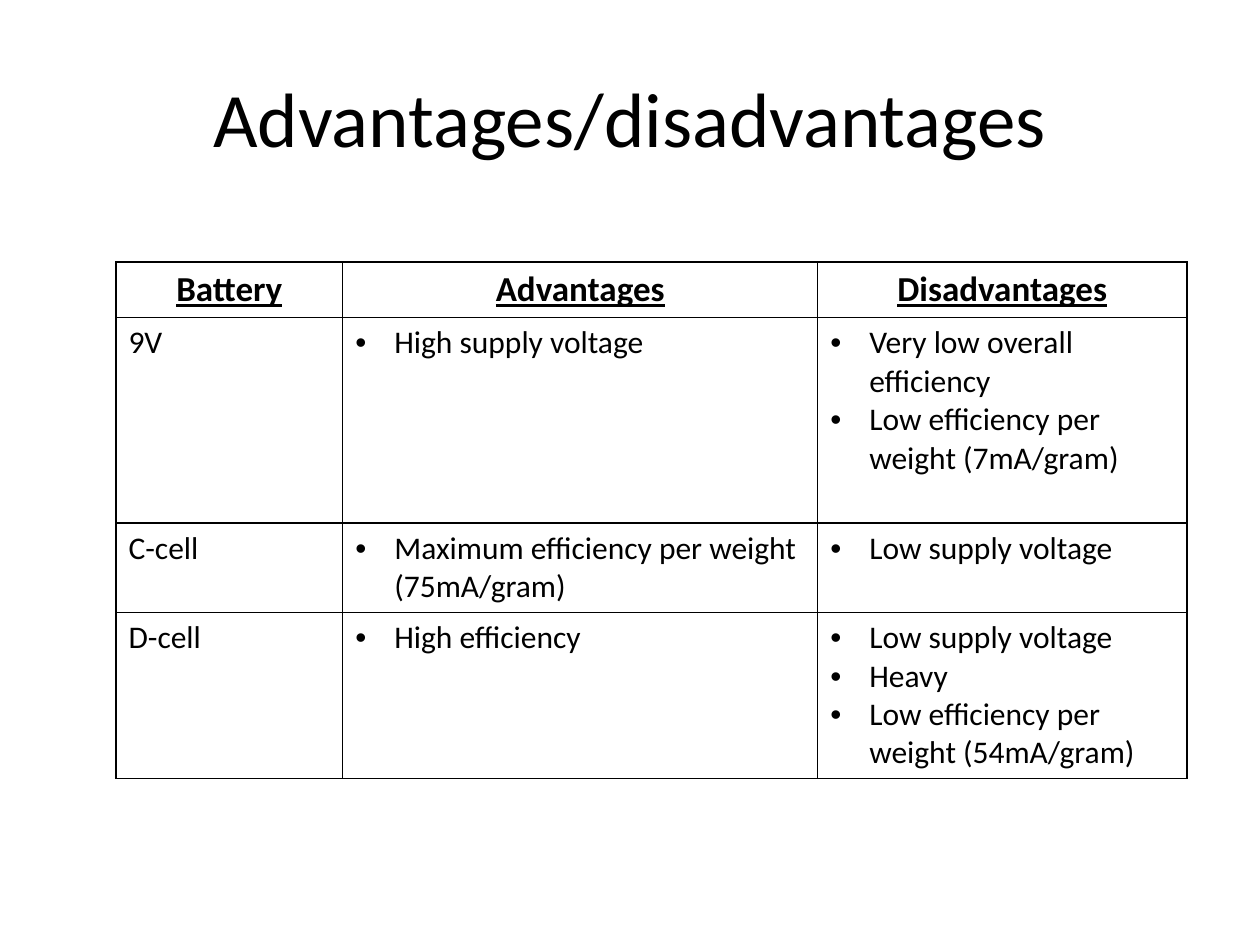
from lxml.etree import SubElement
from pptx import Presentation
from pptx.dml.color import RGBColor
from pptx.enum.text import MSO_ANCHOR, PP_ALIGN
from pptx.oxml.ns import qn
from pptx.util import Inches, Pt

COLORS = {"ink": "000000", "paper": "FFFFFF"}
TITLE_FORMAT = {"name": "Calibri", "size": Pt(44), "bold": False, "underline": False}
HEADING_FORMAT = {"name": "Calibri", "size": Pt(20), "bold": True, "underline": True}
BODY_FORMAT = {"name": "Calibri", "size": Pt(18), "bold": False, "underline": False}

HEADINGS = ["Battery", "Advantages", "Disadvantages"]
BATTERIES = [
    ("9V", ["High supply voltage"],
     ["Very low overall efficiency", "Low efficiency per weight (7mA/gram)"]),
    ("C-cell", ["Maximum efficiency per weight (75mA/gram)"],
     ["Low supply voltage"]),
    ("D-cell", ["High efficiency"],
     ["Low supply voltage", "Heavy", "Low efficiency per weight (54mA/gram)"]),
]
COLUMN_WIDTHS = [1.8, 3.77, 2.93]
ROW_HEIGHTS = [0.44, 1.63, 0.71, 1.32]


def write_lines(frame, lines, font_format, align=PP_ALIGN.LEFT, bulleted=False):
    """Write one formatted paragraph per line into a text frame."""
    for index, line in enumerate(lines):
        paragraph = frame.add_paragraph() if index else frame.paragraphs[0]
        paragraph.alignment = align
        run = paragraph.add_run()
        run.text = line
        for attribute, value in font_format.items():
            setattr(run.font, attribute, value)
        run.font.color.rgb = RGBColor.from_string(COLORS["ink"])
        if bulleted:
            properties = paragraph._p.get_or_add_pPr()
            properties.set("marL", str(Inches(0.31)))
            properties.set("indent", str(-Inches(0.31)))
            SubElement(properties, qn("a:buFont"), typeface="Arial")
            SubElement(properties, qn("a:buChar"), char="•")


def style_cell(cell):
    """Give a cell thin borders on every side and a plain fill."""
    properties = cell._tc.get_or_add_tcPr()
    for side in ("lnL", "lnR", "lnT", "lnB"):
        border = SubElement(properties, qn(f"a:{side}"), w=str(Pt(1)))
        fill = SubElement(border, qn("a:solidFill"))
        SubElement(fill, qn("a:srgbClr"), val=COLORS["ink"])
    cell.fill.solid()
    cell.fill.fore_color.rgb = RGBColor.from_string(COLORS["paper"])


def add_title(slide, left, top, width, height):
    """Place the centred slide title in its box."""
    frame = slide.shapes.add_textbox(left, top, width, height).text_frame
    frame.word_wrap = True
    frame.vertical_anchor = MSO_ANCHOR.MIDDLE
    write_lines(frame, ["Advantages/disadvantages"], TITLE_FORMAT, PP_ALIGN.CENTER)


def add_battery_table(slide, left, top, width, height):
    """Place the table comparing the batteries in its box."""
    table = slide.shapes.add_table(
        len(BATTERIES) + 1, len(HEADINGS), left, top, width, height).table
    table.first_row = table.horz_banding = False
    for column, share in zip(table.columns, COLUMN_WIDTHS):
        column.width = int(width * share / sum(COLUMN_WIDTHS))
    for row, share in zip(table.rows, ROW_HEIGHTS):
        row.height = int(height * share / sum(ROW_HEIGHTS))
    for cell in table.iter_cells():
        style_cell(cell)
    for column, heading in enumerate(HEADINGS):
        write_lines(table.cell(0, column).text_frame, [heading],
                    HEADING_FORMAT, PP_ALIGN.CENTER)
    for row, (battery, advantages, disadvantages) in enumerate(BATTERIES, 1):
        write_lines(table.cell(row, 0).text_frame, [battery], BODY_FORMAT)
        for column, points in enumerate((advantages, disadvantages), 1):
            write_lines(table.cell(row, column).text_frame, points,
                        BODY_FORMAT, bulleted=True)


def main():
    """Build the slide and save the presentation."""
    presentation = Presentation()
    presentation.slide_width = Inches(10)
    presentation.slide_height = Inches(7.5)
    slide = presentation.slides.add_slide(presentation.slide_layouts[6])
    add_title(slide, Inches(0.5), Inches(0.3), Inches(9), Inches(1.25))
    add_battery_table(slide, Inches(0.92), Inches(2.08), Inches(8.5), Inches(4.1))
    presentation.save("out.pptx")


if __name__ == "__main__":
    main()
